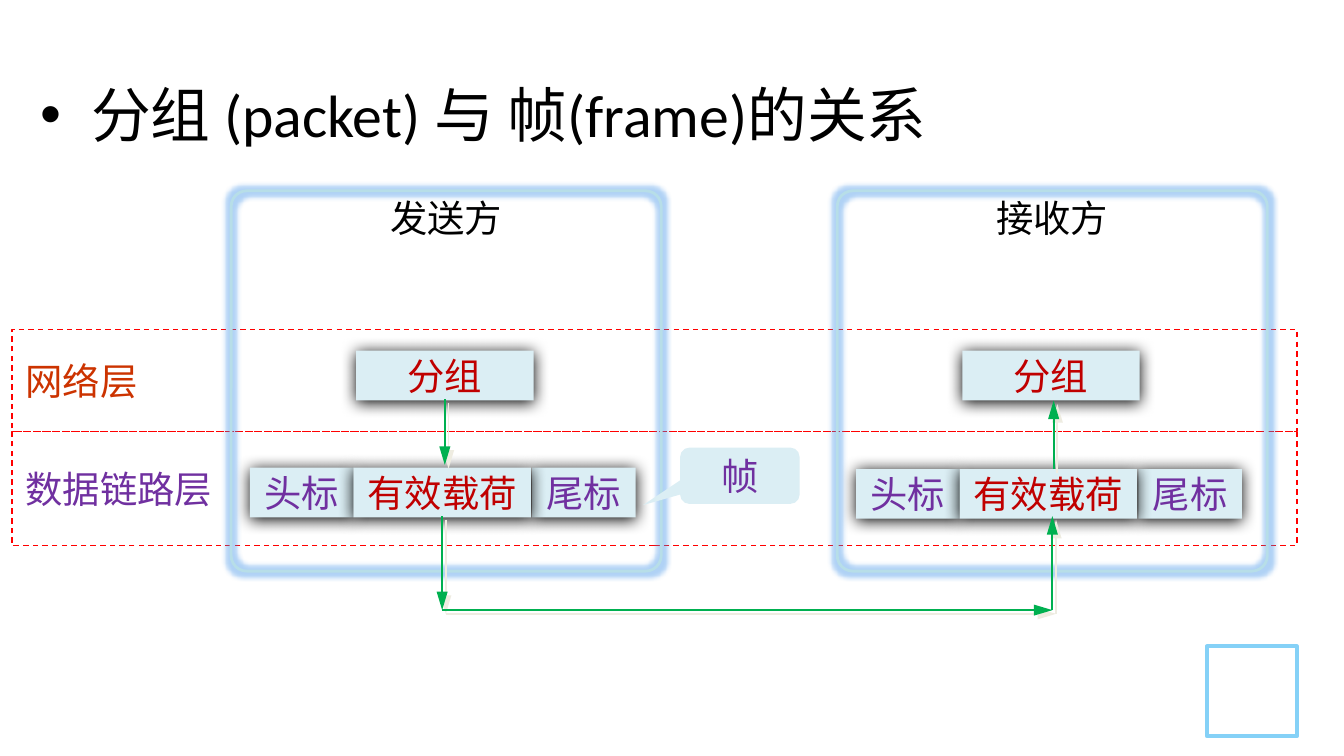
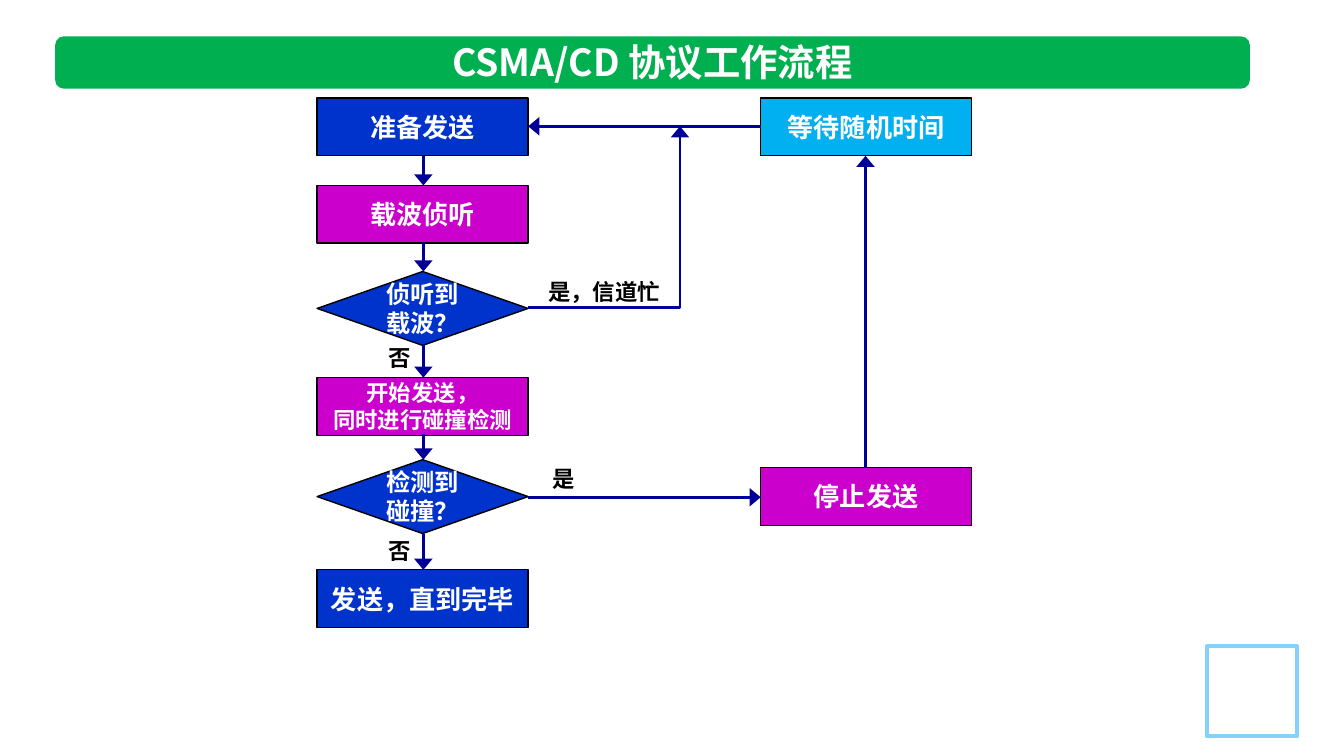
"""Build two slides: packets versus frames, and the CSMA/CD workflow."""
import pptx
import pptx.dml.color
import pptx.enum.dml
import pptx.enum.shapes
import pptx.enum.text
import pptx.oxml
import pptx.oxml.ns
import pptx.util

Inches, Pt = pptx.util.Inches, pptx.util.Pt
rgb = pptx.dml.color.RGBColor.from_string
qn = pptx.oxml.ns.qn
SHAPE = pptx.enum.shapes.MSO_SHAPE
CONNECTOR = pptx.enum.shapes.MSO_CONNECTOR
ALIGN = pptx.enum.text.PP_ALIGN
ANCHOR = pptx.enum.text.MSO_ANCHOR

CJK = "Noto Sans CJK SC"
BLACK, WHITE, RED, PURPLE, PALE = "000000", "FFFFFF", "C00000", "7030A0", "DBEEF4"
GREEN, BLUE, MAGENTA, SKY, NAVY = "00B050", "0033CC", "CC00CC", "00B0F0", "000099"

NS = 'xmlns:a="http://schemas.openxmlformats.org/drawingml/2006/main"'
SHADOW = (f'<a:outerShdw {NS} blurRad="{{}}" dist="{{}}" dir="{{}}" algn="ctr" rotWithShape="0">'
          '<a:srgbClr val="{}"/></a:outerShdw>')
BOX_SHADOW = SHADOW.format(Pt(8.5), Pt(1), 5400000, BLACK)
ARROW_SHADOW = SHADOW.format(0, Pt(2.8), 2700000, "EEECE1")
GLOW = (f'<a:glow {NS} rad="{Pt(5)}"><a:srgbClr val="3A8FE8">'
        '<a:alpha val="40000"/></a:srgbClr></a:glow>')


def add_text(slide, text, at, *, shape=None, adjust=(), fill=None, line=None, width=0.75,
             dash=False, effect=None, size=20, color=BLACK, bold=False, font=CJK,
             align=ALIGN.CENTER, anchor=ANCHOR.MIDDLE, inset=None, wrap=True, bullet=None):
    place = [Inches(value) for value in at]
    if shape is None:
        box = slide.shapes.add_textbox(*place)
    else:
        box = slide.shapes.add_shape(shape, *place)
        for index, value in enumerate(adjust):
            box.adjustments[index] = value
        if fill:
            box.fill.solid()
            box.fill.fore_color.rgb = rgb(fill)
        else:
            box.fill.background()
        if line:
            box.line.color.rgb = rgb(line)
            box.line.width = Pt(width)
            if dash:
                box.line.dash_style = pptx.enum.dml.MSO_LINE.DASH
        else:
            box.line.fill.background()
        box.shadow.inherit = False
        if effect:
            box.element.spPr.find(qn("a:effectLst")).append(pptx.oxml.parse_xml(effect))
    frame = box.text_frame
    frame.word_wrap = wrap
    frame.vertical_anchor = anchor
    if inset is not None:
        frame.margin_left = frame.margin_right = Inches(inset)
        frame.margin_top = frame.margin_bottom = Inches(inset)
    for index, words in enumerate(text.split("\n") if text else []):
        paragraph = frame.add_paragraph() if index else frame.paragraphs[0]
        paragraph.alignment = align
        if bullet:
            properties = paragraph._p.get_or_add_pPr()
            properties.set("marL", str(Inches(0.38)))
            properties.set("indent", str(-Inches(0.38)))
            properties.append(pptx.oxml.parse_xml(f'<a:buFont {NS} typeface="Arial"/>'))
            properties.append(pptx.oxml.parse_xml(f'<a:buChar {NS} char="{bullet}"/>'))
        run = paragraph.add_run()
        run.text = words
        run.font.size = Pt(size)
        run.font.bold = bold
        run.font.color.rgb = rgb(color)
        run.font.name = font
        run.font._element.append(pptx.oxml.parse_xml(f'<a:ea {NS} typeface="{CJK}"/>'))


def add_arrow(slide, start, end, *, color, width, head, effect=None, bent=False):
    kind = CONNECTOR.ELBOW if bent else CONNECTOR.STRAIGHT
    arrow = slide.shapes.add_connector(kind, *[Inches(value) for value in (*start, *end)])
    arrow.line.color.rgb = rgb(color)
    arrow.line.width = Pt(width)
    properties = arrow.element.spPr
    if bent:
        properties.find(qn("a:prstGeom")).set("prst", "bentConnector2")
    properties.find(qn("a:ln")).append(pptx.oxml.parse_xml(
        f'<a:tailEnd {NS} type="triangle" w="{head[0]}" len="{head[1]}"/>'))
    effects = pptx.oxml.parse_xml(f"<a:effectLst {NS}/>")
    if effect:
        effects.append(pptx.oxml.parse_xml(effect))
    properties.append(effects)


deck = pptx.Presentation()
deck.slide_width = Inches(10)
deck.slide_height = Inches(10 * 9 / 16)
relation, workflow = [deck.slides.add_slide(deck.slide_layouts[6]) for _ in range(2)]
for slide in (relation, workflow):
    add_text(slide, "", (8.98, 4.81, 0.67, 0.67), shape=SHAPE.RECTANGLE,
             fill=WHITE, line="85D1F7", width=2)

for layer, top, height, color in (("数据链路层", 3.21, 0.85, PURPLE),
                                  ("网络层", 2.45, 0.76, "CC3300")):
    add_text(relation, layer, (0.09, top, 9.56, height), shape=SHAPE.RECTANGLE,
             line="FF0000", dash=True, color=color, align=ALIGN.LEFT)

for host, left, frame_top in (("发送方", 1.72, 3.48), ("接收方", 6.23, 3.49)):
    add_text(relation, host, (left, 1.42, 3.2, 2.83), shape=SHAPE.ROUNDED_RECTANGLE,
             adjust=[0.041], line="B7DEE8", width=1.5, effect=GLOW,
             anchor=ANCHOR.TOP, inset=0)
    for part, offset, top, width, color in (("分组", 0.93, 2.61, 1.32, RED),
                                            ("头标", 0.14, frame_top, 0.77, PURPLE),
                                            ("尾标", 2.24, frame_top, 0.77, PURPLE),
                                            ("有效载荷", 0.91, frame_top, 1.32, RED)):
        add_text(relation, part, (left + offset, top, width, 0.37),
                 shape=SHAPE.ROUNDED_RECTANGLE, adjust=[0], fill=PALE,
                 effect=BOX_SHADOW, color=color, inset=0)

for start, end in (((3.31, 2.97), (3.31, 3.46)), ((7.84, 3.49), (7.84, 2.98)),
                   ((3.29, 3.84), (3.29, 4.54)), ((7.83, 4.54), (7.83, 3.84)),
                   ((3.29, 4.54), (7.83, 4.54))):
    add_arrow(relation, start, end, color=GREEN, width=1, head=("med", "lg"),
              effect=ARROW_SHADOW)

add_text(relation, "帧", (5.06, 3.33, 0.89, 0.42), shape=SHAPE.ROUNDED_RECTANGULAR_CALLOUT,
         adjust=[-0.81, 0.52, 0.17], fill=PALE, color=PURPLE, inset=0)
add_text(relation, "分组 (packet) 与 帧(frame)的关系", (0.2, 0.53, 11.5, 0.64), size=32,
         font="Calibri", align=ALIGN.LEFT, anchor=ANCHOR.TOP, bullet="•")

add_text(workflow, "", (0.41, 0.27, 8.89, 0.39), shape=SHAPE.ROUNDED_RECTANGLE,
         adjust=[0.17], fill=GREEN)
add_text(workflow, "CSMA/CD 协议工作流程", (3.17, 0.24, 3.37, 0.44), color=WHITE,
         bold=True, anchor=ANCHOR.TOP, wrap=False)

main_left, retry_left, step_width = 2.36, 5.66, 1.57
main_right, main_axis, retry_axis = 3.93, 3.15, 6.44
for step, left, top, fill, size in (("准备发送", main_left, 0.73, BLUE, 14),
                                    ("载波侦听", main_left, 1.38, MAGENTA, 14),
                                    ("开始发送，\n同时进行碰撞检测", main_left, 2.81, MAGENTA, 12),
                                    ("发送，直到完毕", main_left, 4.24, BLUE, 14),
                                    ("停止发送", retry_left, 3.48, MAGENTA, 14),
                                    ("等待随机时间", retry_left, 0.73, SKY, 14)):
    add_text(workflow, step, (left, top, step_width, 0.43), shape=SHAPE.RECTANGLE,
             fill=fill, line=BLACK, size=size, color=WHITE, bold=True)
for question, top in (("侦听到载波？", 2.02), ("检测到碰撞？", 3.42)):
    add_text(workflow, question, (main_left, top, step_width, 0.55), shape=SHAPE.DIAMOND,
             fill=BLUE, line=BLACK, size=13, color=WHITE, bold=True)

flows = [((main_axis, top), (main_axis, bottom)) for top, bottom in
         ((1.16, 1.38), (1.8, 2.02), (2.56, 2.81), (3.23, 3.42), (3.97, 4.24))]
flows += [((main_right, 3.7), (retry_left, 3.7)), ((retry_axis, 3.48), (retry_axis, 1.16)),
          ((retry_left, 0.94), (main_right, 0.94)), ((main_right, 2.29), (5.06, 0.94))]
for start, end in flows:
    bent = start[0] != end[0] and start[1] != end[1]
    add_arrow(workflow, start, end, color=NAVY, width=1.5, head=("lg", "med"), bent=bent)

for answer, left, top, width in (("是，信道忙", 3.98, 2.02, 1.04), ("是", 4.01, 3.41, 0.37),
                                 ("否", 2.79, 3.95, 0.37), ("否", 2.79, 2.51, 0.37)):
    add_text(workflow, answer, (left, top, width, 0.3), size=12, bold=True,
             align=ALIGN.LEFT, anchor=ANCHOR.TOP, wrap=False)

deck.save("out.pptx")
